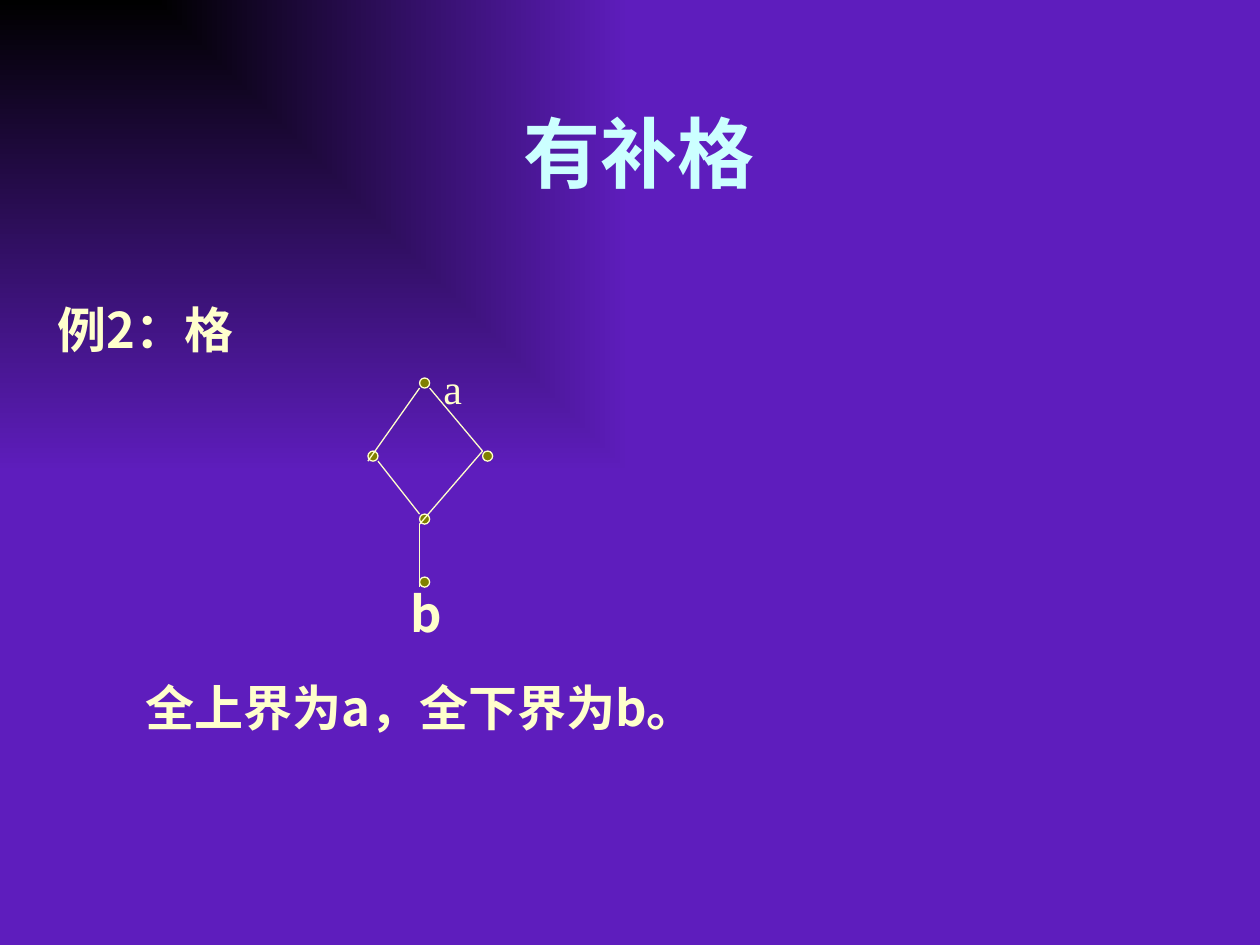
from pptx import Presentation
from pptx.dml.color import RGBColor
from pptx.enum.shapes import MSO_CONNECTOR as Connector, MSO_SHAPE as Shape
from pptx.enum.text import MSO_ANCHOR as Anchor, PP_ALIGN as Align
from pptx.oxml import parse_xml
from pptx.oxml.ns import qn
from pptx.util import Inches, Pt
from lxml.etree import SubElement

CYAN = RGBColor(0xCC, 0xFF, 0xFF)
CREAM = RGBColor(0xFF, 0xFF, 0xCC)
OLIVE = RGBColor(0x80, 0x80, 0x00)
BLACK = RGBColor(0x00, 0x00, 0x00)
PURPLE = RGBColor(0x5E, 0x1D, 0xBD)
HEITI = "Noto Sans CJK JP"
ROMAN = "Times New Roman"
DOT = 0.08
HAIRLINE = Pt(0.75)


def apply(target, values):
    for name, value in values.items():
        setattr(target, name, value)


class LatticeSlide:
    title_font = {"name": HEITI, "size": Pt(44), "bold": True}
    body_font = {"name": HEITI, "size": Pt(28), "bold": True}
    label_font = {"name": ROMAN, "size": Pt(24), "bold": False}

    def __init__(self, deck):
        self.slide = deck.slides.add_slide(deck.slide_layouts[5])
        self.shapes = self.slide.shapes

    def background(self, inner, outer):
        self.slide._element.cSld.insert(0, parse_xml(
            '<p:bg xmlns:p="http://schemas.openxmlformats.org/presentationml/2006/main"'
            ' xmlns:a="http://schemas.openxmlformats.org/drawingml/2006/main">'
            '<p:bgPr><a:gradFill rotWithShape="0"><a:gsLst>'
            f'<a:gs pos="0"><a:srgbClr val="{inner}"/></a:gs>'
            f'<a:gs pos="100000"><a:srgbClr val="{outer}"/></a:gs></a:gsLst>'
            '<a:path path="rect"><a:fillToRect r="100000" b="100000"/></a:path>'
            '</a:gradFill><a:effectLst/></p:bgPr></p:bg>'))

    def styled_run(self, paragraph, text, font, color):
        run = paragraph.add_run()
        run.text = text
        apply(run.font, font)
        run.font.color.rgb = color
        SubElement(run._r.get_or_add_rPr(), qn("a:ea"), typeface=font["name"])

    def title(self, text, left, top, width, height):
        heading = self.shapes.title
        apply(heading, {"left": Inches(left), "top": Inches(top),
                        "width": Inches(width), "height": Inches(height)})
        frame = heading.text_frame
        apply(frame, {"vertical_anchor": Anchor.BOTTOM, "word_wrap": True})
        frame.paragraphs[0].alignment = Align.CENTER
        self.styled_run(frame.paragraphs[0], text, self.title_font, CYAN)

    def text(self, lines, left, top, width, height, font, spacing=1.0):
        frame = self.shapes.add_textbox(
            Inches(left), Inches(top), Inches(width), Inches(height)).text_frame
        frame.word_wrap = True
        for index, (line, indent, before) in enumerate(lines):
            paragraph = frame.add_paragraph() if index else frame.paragraphs[0]
            paragraph.line_spacing = spacing
            if before:
                paragraph.space_before = Pt(before)
            if indent:
                paragraph._p.get_or_add_pPr().set("marL", str(Inches(indent)))
            self.styled_run(paragraph, line, font, CREAM)

    def node(self, left, top):
        dot = self.shapes.add_shape(
            Shape.OVAL, Inches(left), Inches(top), Inches(DOT), Inches(DOT))
        dot.shadow.inherit = False
        dot.fill.solid()
        dot.fill.fore_color.rgb = OLIVE
        dot.line.color.rgb = CREAM
        dot.line.width = HAIRLINE

    def edge(self, start, end):
        link = self.shapes.add_connector(
            Connector.STRAIGHT, *(Inches(value) for value in (*start, *end)))
        link.line.color.rgb = CREAM
        link.line.width = HAIRLINE
        SubElement(link._element.spPr, qn("a:effectLst"))


def main():
    deck = Presentation()
    apply(deck, {"slide_width": Inches(10), "slide_height": Inches(7.5)})
    page = LatticeSlide(deck)
    page.background(BLACK, PURPLE)
    page.title("有补格", 0.35, 0.79, 9.45, 0.83)
    page.text([("例2：格", 0, 0), ("b", 2.8, 114), ("全上界为a，全下界为b。", 0.7, 5.6)],
              0.36, 2.12, 9.06, 5.13, page.body_font, 1.44)

    nodes = {"top": (3.33, 3), "left": (2.92, 3.58), "right": (3.83, 3.58),
             "meet": (3.33, 4.08), "bottom": (3.33, 4.58)}
    upper_left, lower_left, lower_right = (0, 0), (0, 1), (1, 1)
    edges = [("top", lower_left, "left", lower_left),
             ("top", lower_right, "right", upper_left),
             ("left", lower_right, "meet", upper_left),
             ("right", upper_left, "meet", lower_left),
             ("meet", lower_left, "bottom", lower_left)]

    def corner(node, side):
        return [place + DOT * step for place, step in zip(nodes[node], side)]

    for place in nodes.values():
        page.node(*place)
    for upper, upper_side, lower, lower_side in edges:
        page.edge(corner(upper, upper_side), corner(lower, lower_side))
    page.text([("a", 0, 0)], 3.42, 2.83, 1.17, 0.5, page.label_font)
    deck.save("out.pptx")


if __name__ == "__main__":
    main()
